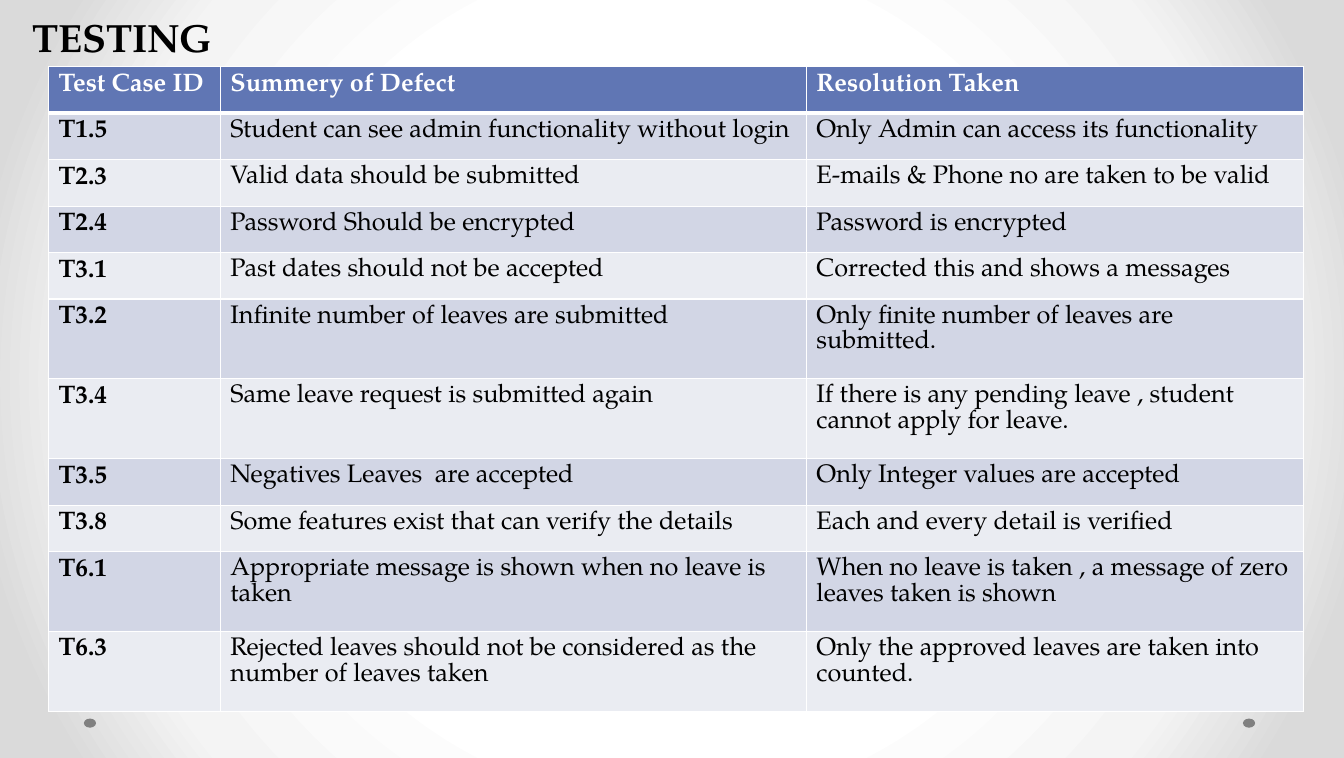
from lxml.etree import SubElement
from pptx import Presentation
from pptx.dml.color import RGBColor
from pptx.enum.shapes import MSO_SHAPE
from pptx.enum.text import MSO_ANCHOR, PP_ALIGN
from pptx.oxml import parse_xml
from pptx.oxml.ns import nsdecls, qn
from pptx.util import Pt

PX = 9144  # 100 px to the inch
FONT = "TeX Gyre Pagella"
WHITE = RGBColor(0xFF, 0xFF, 0xFF)
BLACK = RGBColor(0, 0, 0)
GREY = RGBColor(0x80, 0x80, 0x80)
HEADER_BLUE = RGBColor(0x60, 0x76, 0xB4)
BANDS = [RGBColor(0xEA, 0xEC, 0xF2), RGBColor(0xD2, 0xD6, 0xE5)]
BACKDROP = [(50, WHITE), (76, RGBColor(0xF4, 0xF4, 0xF4)), (92, RGBColor(0xDA, 0xDA, 0xDA))]

TITLE = "TESTING"
ROWS = [
    ("Test Case ID", "Summery of Defect", "Resolution Taken"),
    ("T1.5", "Student can see admin functionality without login",
     "Only Admin can access its functionality"),
    ("T2.3", "Valid data should be submitted", "E-mails & Phone no are taken to be valid"),
    ("T2.4", "Password Should be encrypted", "Password is encrypted"),
    ("T3.1", "Past dates should not be accepted", "Corrected this and shows a messages"),
    ("T3.2", "Infinite number of leaves are submitted",
     "Only finite number of leaves are submitted."),
    ("T3.4", "Same leave request is submitted again",
     "If there is any pending leave , student cannot apply for leave."),
    ("T3.5", "Negatives Leaves  are accepted", "Only Integer values are accepted"),
    ("T3.8", "Some features exist that can verify the details",
     "Each and every detail is verified"),
    ("T6.1", "Appropriate message is shown when no leave is taken",
     "When no leave is taken , a message of zero leaves taken is shown"),
    ("T6.3", "Rejected leaves should not be considered as the number of leaves taken",
     "Only the approved leaves are taken into counted."),
]
COL_WIDTHS = [170, 580, 492]
ROW_HEIGHT, TALL_HEIGHT = 46, 79
TALL_ROWS = {5, 6, 9, 10}
DOT_LEFTS = [83, 1230]


def px(*lengths):
    return [n * PX for n in lengths]


def set_backdrop(slide):
    """Fill the background with a radial gradient centred on the slide."""
    stops = "".join(f'<a:gs pos="{pos * 1000}"><a:srgbClr val="{color}"/></a:gs>'
                    for pos, color in BACKDROP)
    bg = parse_xml(
        f'<p:bg {nsdecls("p", "a")}><p:bgPr><a:gradFill rotWithShape="1">'
        f'<a:gsLst>{stops}</a:gsLst><a:path path="circle">'
        '<a:fillToRect l="50000" t="50000" r="50000" b="50000"/></a:path>'
        '</a:gradFill><a:effectLst/></p:bgPr></p:bg>')
    slide.background.fill.background()
    c_sld = slide.shapes.element.getparent()
    c_sld.replace(c_sld.find(qn("p:bg")), bg)


def set_borders(cell, bottom):
    tc_pr = cell._tc.get_or_add_tcPr()
    for i, (side, width) in enumerate([("L", 1), ("R", 1), ("T", 1), ("B", bottom)]):
        ln = SubElement(tc_pr, qn(f"a:ln{side}"), w=str(Pt(width)))
        fill = SubElement(ln, qn("a:solidFill"))
        SubElement(fill, qn("a:srgbClr"), val=str(WHITE))
        tc_pr.insert(i, ln)


def set_font(p, size, color, bold):
    p.font.name, p.font.size, p.font.bold = FONT, Pt(size), bold
    p.font.color.rgb = color


def add_title(slide):
    title = slide.shapes.title
    title.left, title.top, title.width, title.height = px(22, 8, 251, 57)
    tf = title.text_frame
    tf.text, tf.vertical_anchor, tf.word_wrap = TITLE, MSO_ANCHOR.TOP, True
    p = tf.paragraphs[0]
    p.alignment = PP_ALIGN.LEFT
    set_font(p, 28, BLACK, True)


def add_dots(slide):
    for left in DOT_LEFTS:
        dot = slide.shapes.add_shape(MSO_SHAPE.OVAL, *px(left, 711, 12, 9))
        dot.shadow.inherit = False
        dot.fill.solid()
        dot.fill.fore_color.rgb = GREY
        dot.line.fill.background()


def add_defect_table(slide):
    heights = [TALL_HEIGHT if i in TALL_ROWS else ROW_HEIGHT for i in range(len(ROWS))]
    table = slide.shapes.add_table(len(ROWS), len(COL_WIDTHS),
                                   *px(48, 66, sum(COL_WIDTHS), sum(heights))).table
    for col, width in zip(table.columns, COL_WIDTHS):
        col.width = width * PX
    for r, texts in enumerate(ROWS):
        table.rows[r].height = heights[r] * PX
        header = r == 0
        for c, text in enumerate(texts):
            cell = table.cell(r, c)
            cell.text = text
            cell.fill.solid()
            cell.fill.fore_color.rgb = HEADER_BLUE if header else BANDS[r % 2]
            set_borders(cell, bottom=3 if header else 1)
            p = cell.text_frame.paragraphs[0]
            p.line_spacing = Pt(18.5)
            set_font(p, 18, WHITE if header else BLACK, header or c == 0)


def main():
    prs = Presentation()
    prs.slide_width, prs.slide_height = px(1330, 750)
    slide = prs.slides.add_slide(prs.slide_layouts[5])
    set_backdrop(slide)
    add_dots(slide)
    add_defect_table(slide)
    add_title(slide)
    prs.save("out.pptx")


if __name__ == "__main__":
    main()
